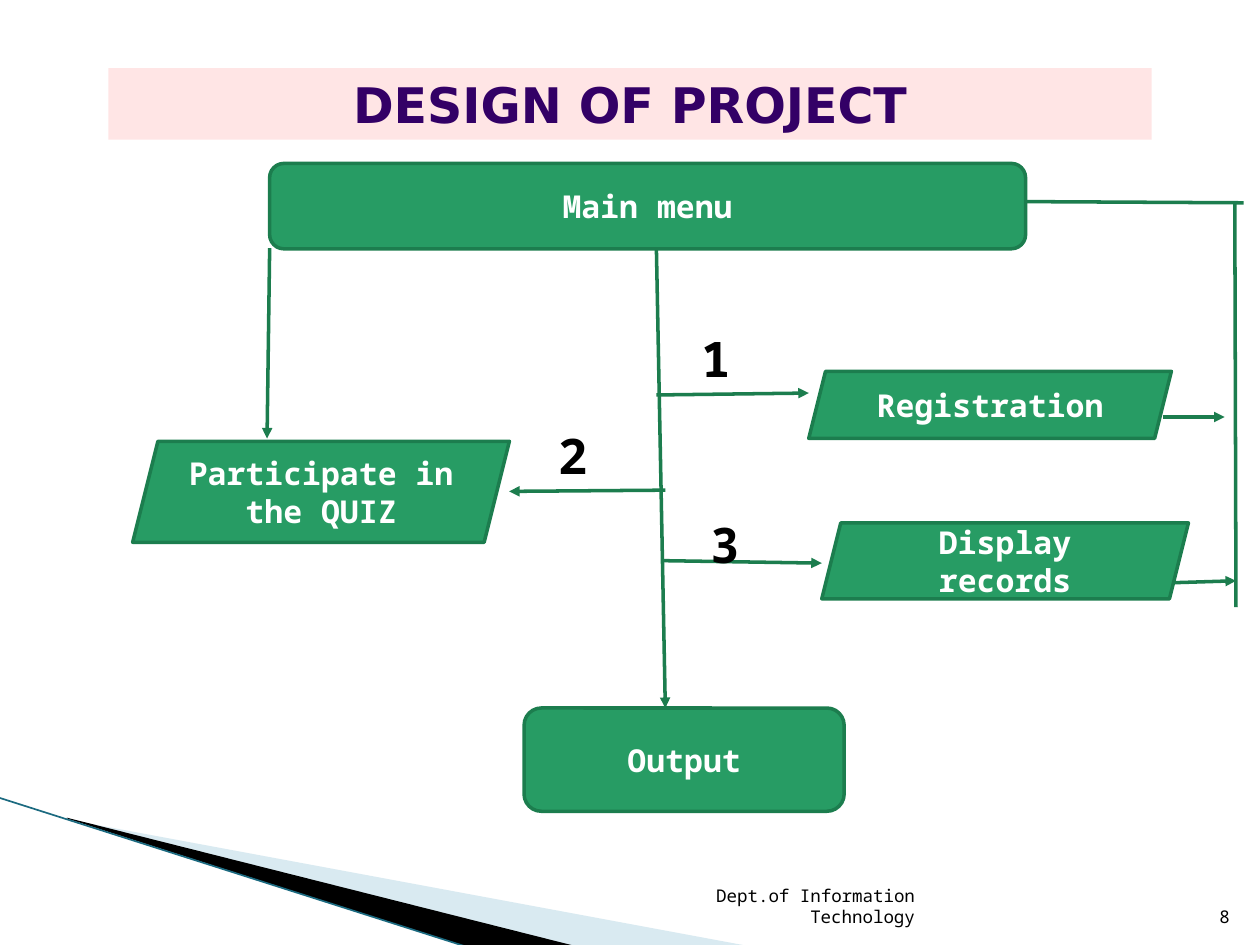
"""Build the project design flow chart slide."""
from lxml import etree
from pptx import Presentation
from pptx.dml.color import RGBColor
from pptx.enum import shapes, text
from pptx.oxml import ns
from pptx.util import Pt

GREEN = RGBColor(0x27, 0x9C, 0x64)
DARK_GREEN = RGBColor(0x1C, 0x7D, 0x4E)
PINK = RGBColor(0xFF, 0xE5, 0xE5)
PURPLE = RGBColor(0x33, 0x00, 0x66)
PALE_BLUE = RGBColor(0xA0, 0xCB, 0xDC)
TEAL = RGBColor(0x1B, 0x6A, 0x80)
BLACK = RGBColor(0, 0, 0)
WHITE = RGBColor(0xFF, 0xFF, 0xFF)
MONO = "Noto Sans Mono"
LEFT, CENTER, RIGHT = text.PP_ALIGN.LEFT, text.PP_ALIGN.CENTER, text.PP_ALIGN.RIGHT
TOP, MIDDLE, BOTTOM = text.MSO_ANCHOR.TOP, text.MSO_ANCHOR.MIDDLE, text.MSO_ANCHOR.BOTTOM


def write(sp, words, size, color, align, anchor, bold=True, font=MONO):
    tf = sp.text_frame
    tf.word_wrap = True
    tf.vertical_anchor = anchor
    tf.text = words
    p = tf.paragraphs[0]
    p.alignment = align
    r = p.runs[0]
    r.font.size = Pt(size)
    r.font.name = font
    r.font.bold = bold
    r.font.color.rgb = color


def add_line(s, x1, y1, x2, y2, arrow, color=DARK_GREEN, width=2):
    cn = s.shapes.add_connector(shapes.MSO_CONNECTOR.STRAIGHT, Pt(x1), Pt(y1), Pt(x2), Pt(y2))
    cn.line.color.rgb = color
    cn.line.width = Pt(width)
    if arrow:
        ln = cn.line._get_or_add_ln()
        etree.SubElement(ln, ns.qn("a:tailEnd"), type="triangle")
    etree.SubElement(cn._element.spPr, ns.qn("a:effectLst"))


prs = Presentation()
prs.slide_width, prs.slide_height = Pt(720), Pt(540)
s = prs.slides.add_slide(prs.slide_layouts[6])

wedges = [
    ([(39.6, 468.5), (428.4, 540.7), (328.3, 540.7), (39.6, 468)], PALE_BLUE, 40),
    ([(38.2, 467.3), (329, 540.7), (267.8, 541.4), (38.9, 468)], BLACK, 100),
]
for points, color, opacity in wedges:
    start, *rest = [(Pt(x), Pt(y)) for x, y in points]
    fb = s.shapes.build_freeform(*start)
    fb.add_line_segments(rest)
    sp = fb.convert_to_shape()
    sp.shadow.inherit = False
    sp.line.fill.background()
    sp.fill.solid()
    sp.fill.fore_color.rgb = color
    if opacity < 100:
        clr = sp._element.spPr.find(".//" + ns.qn("a:srgbClr"))
        etree.SubElement(clr, ns.qn("a:alpha"), val=str(opacity * 1000))
add_line(s, -0.7, 455.8, 267.8, 541.4, False, TEAL, 0.95)

title = s.shapes.add_shape(shapes.MSO_SHAPE.RECTANGLE, Pt(61.9), Pt(38.9), Pt(596.2), Pt(41))
title.shadow.inherit = False
title.fill.solid()
title.fill.fore_color.rgb = PINK
title.line.fill.background()
write(title, "DESIGN OF PROJECT", 28, PURPLE, CENTER, TOP, font="DejaVu Sans")

ROUNDED = shapes.MSO_SHAPE.ROUNDED_RECTANGLE
SLANTED = shapes.MSO_SHAPE.PARALLELOGRAM
steps = [
    ("Main menu", ROUNDED, 154.1, 93.4, 432, 48.8),
    ("Registration", SLANTED, 462.2, 212.2, 207.2, 38.3),
    ("Display records", SLANTED, 469.6, 298.8, 209.5, 43.4),
    ("Participate in the QUIZ", SLANTED, 75.8, 252.2, 215.3, 57.7),
    ("Output", ROUNDED, 299.5, 404.6, 182.9, 59),
]
for words, kind, x, y, w, h in steps:
    sp = s.shapes.add_shape(kind, Pt(x), Pt(y), Pt(w), Pt(h))
    sp.shadow.inherit = False
    sp.fill.solid()
    sp.fill.fore_color.rgb = GREEN
    sp.line.color.rgb = DARK_GREEN
    sp.line.width = Pt(2)
    write(sp, words, 18, WHITE, CENTER, MIDDLE)

flows = [
    (154.1, 141.8, 152.6, 250.6, True),
    (375.1, 141.8, 380.2, 404.6, True),
    (375.1, 225.7, 462.2, 224.6, True),
    (378.7, 320.4, 469.6, 321.8, True),
    (380.2, 280.1, 290.9, 280.8, True),
    (664.6, 238.3, 699.8, 238.3, True),
    (670.3, 333, 706.3, 331.9, True),
    (705.6, 115.9, 706.3, 347, False),
    (586.1, 115.2, 710.6, 115.9, False),
]
for flow in flows:
    add_line(s, *flow)

labels = [
    ("1", 393.8, 184.3, 59.8, 40.3, 28, LEFT, TOP),
    ("2", 311.8, 239.8, 48.2, 40.3, 28, LEFT, TOP),
    ("3", 398.9, 290.2, 50.4, 40.3, 28, LEFT, TOP),
    ("Dept.of Information Technology", 344.9, 504.7, 185, 28.8, 10, RIGHT, BOTTOM),
    ("8", 681.1, 504.7, 28.8, 28.8, 10, RIGHT, BOTTOM),
]
for words, x, y, w, h, size, align, anchor in labels:
    sp = s.shapes.add_textbox(Pt(x), Pt(y), Pt(w), Pt(h))
    write(sp, words, size, BLACK, align, anchor, bold=size > 10)

prs.save("out.pptx")
